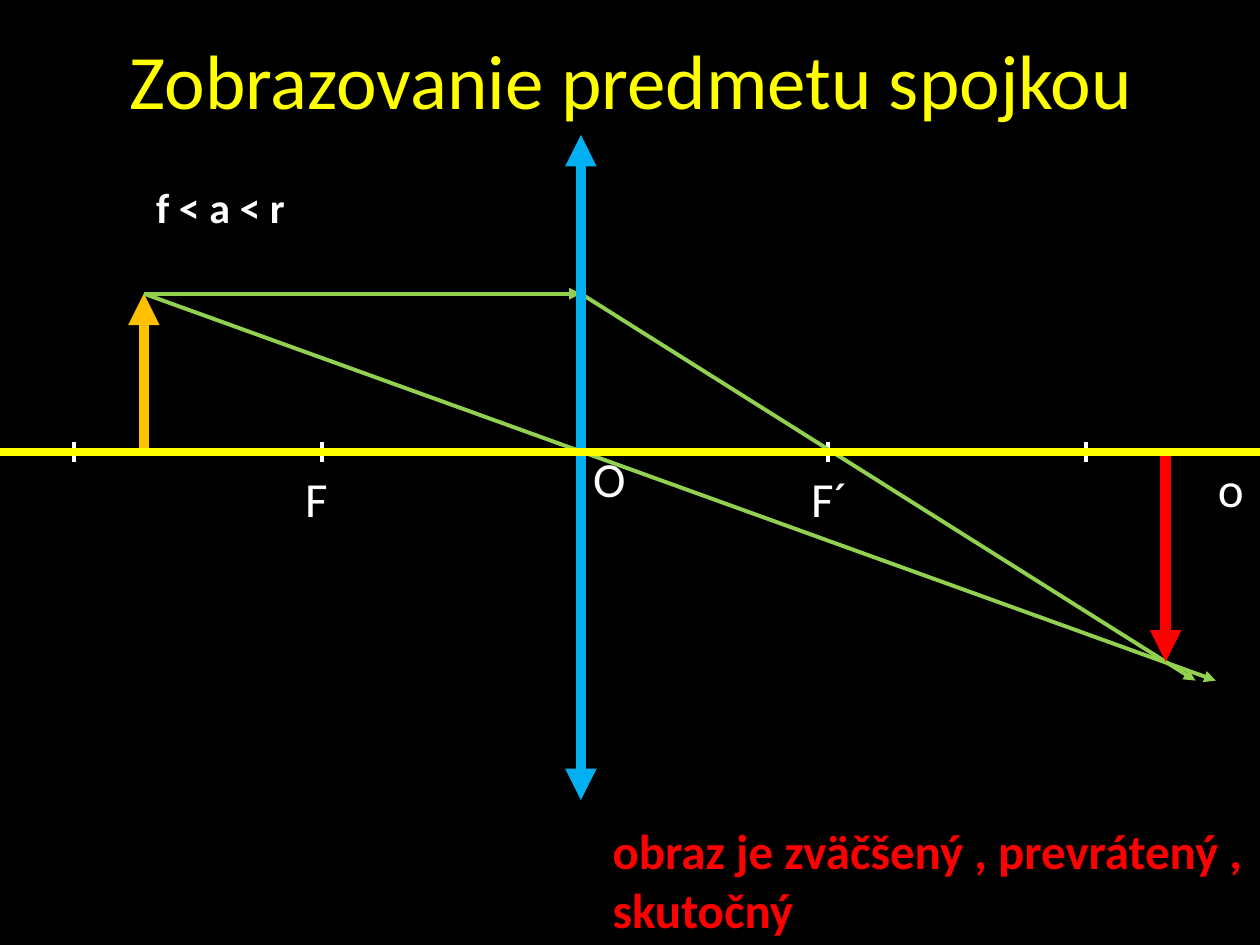
import pptx
import pptx.util
import pptx.dml.color
import pptx.enum.shapes
import pptx.enum.text
import pptx.oxml.ns
import lxml.etree

Cm = pptx.util.Cm
Pt = pptx.util.Pt
RGBColor = pptx.dml.color.RGBColor

BLACK = RGBColor(0x00, 0x00, 0x00)
WHITE = RGBColor(0xFF, 0xFF, 0xFF)
YELLOW = RGBColor(0xFF, 0xFF, 0x00)
ORANGE = RGBColor(0xFF, 0xC0, 0x00)
GREEN = RGBColor(0x92, 0xD0, 0x50)
BLUE = RGBColor(0x00, 0xB0, 0xF0)
RED = RGBColor(0xFF, 0x00, 0x00)


def style(par, size, color, bold=False):
    par.font.name = "Calibri"
    par.font.size = Pt(size)
    par.font.bold = bold
    par.font.color.rgb = color


def label(slide, box, text, size, color, bold=False):
    frame = slide.shapes.add_textbox(*map(Cm, box)).text_frame
    frame.word_wrap = True
    frame.auto_size = pptx.enum.text.MSO_AUTO_SIZE.SHAPE_TO_FIT_TEXT
    frame.text = text
    style(frame.paragraphs[0], size, color, bold)


def line(slide, start, end, color, width, ends=()):
    straight = pptx.enum.shapes.MSO_CONNECTOR.STRAIGHT
    link = slide.shapes.add_connector(straight, *map(Cm, start + end))
    link.line.color.rgb = color
    link.line.width = Pt(width)
    qn = pptx.oxml.ns.qn
    for tag in ends:
        lxml.etree.SubElement(link.line._ln, qn("a:" + tag), type="triangle")
    lxml.etree.SubElement(link._element.spPr, qn("a:effectLst"))


def heading(slide, box, text):
    title = slide.shapes.title
    title.left, title.top, title.width, title.height = map(Cm, box)
    frame = title.text_frame
    frame.text = text
    frame.vertical_anchor = pptx.enum.text.MSO_ANCHOR.MIDDLE
    par = frame.paragraphs[0]
    par.alignment = pptx.enum.text.PP_ALIGN.CENTER
    style(par, 44, YELLOW)


def diagram(slide, box):
    left, top, width, height = box
    axis = top + 6.4

    def at(x, y):
        return left + x, axis + y

    lens, item, image = 11.71, 2.9, 23.5
    rise, drop, reach = -3.2, 4.22, 4.6

    for x in (1.5, 6.5, 16.69, 21.89):
        line(slide, at(x, -0.2), at(x, 0.2), WHITE, 2.25)

    names = (("F", 5.9, 0.2, 1.4), ("F´", 16.1, 0.2, 1.8),
             ("o", 24.3, 0, 1.1), ("O", lens, -0.2, 1.4))
    for text, x, y, wide in names:
        label(slide, at(x, y) + (wide, 1.44), text, 28, WHITE)

    tip = at(item, rise)
    bend = at(lens, rise)
    tail = ("tailEnd",)
    line(slide, bend, at(24.1, reach), GREEN, 2.25, tail)
    line(slide, at(item, 0), tip, ORANGE, 6, tail)
    line(slide, tip, bend, GREEN, 2.25, tail)
    line(slide, tip, at(24.51, reach), GREEN, 2.25, tail)
    line(slide, at(image, 0), at(image, drop), RED, 6, tail)
    line(slide, (left + lens, top), (left + lens, top + height), BLUE, 6,
         ("headEnd", "tailEnd"))
    line(slide, at(0, 0), at(width, 0), YELLOW, 4.5)


def main():
    deck = pptx.Presentation()
    deck.slide_width = Cm(25.4)
    deck.slide_height = Cm(19.05)
    slide = deck.slides.add_slide(deck.slide_layouts[5])
    slide.background.fill.solid()
    slide.background.fill.fore_color.rgb = BLACK

    heading(slide, (1.3, 0, 22.86, 3.18), "Zobrazovanie predmetu spojkou")
    label(slide, (2.9, 3.53, 5.4, 1.27), "f < a < r", 24, WHITE, True)
    label(slide, (12.1, 16.41, 13.3, 2.64),
          "obraz je zväčšený , prevrátený , skutočný", 28, RED, True)
    diagram(slide, (0, 2.72, 25.4, 13.41))
    deck.save("out.pptx")


if __name__ == "__main__":
    main()
